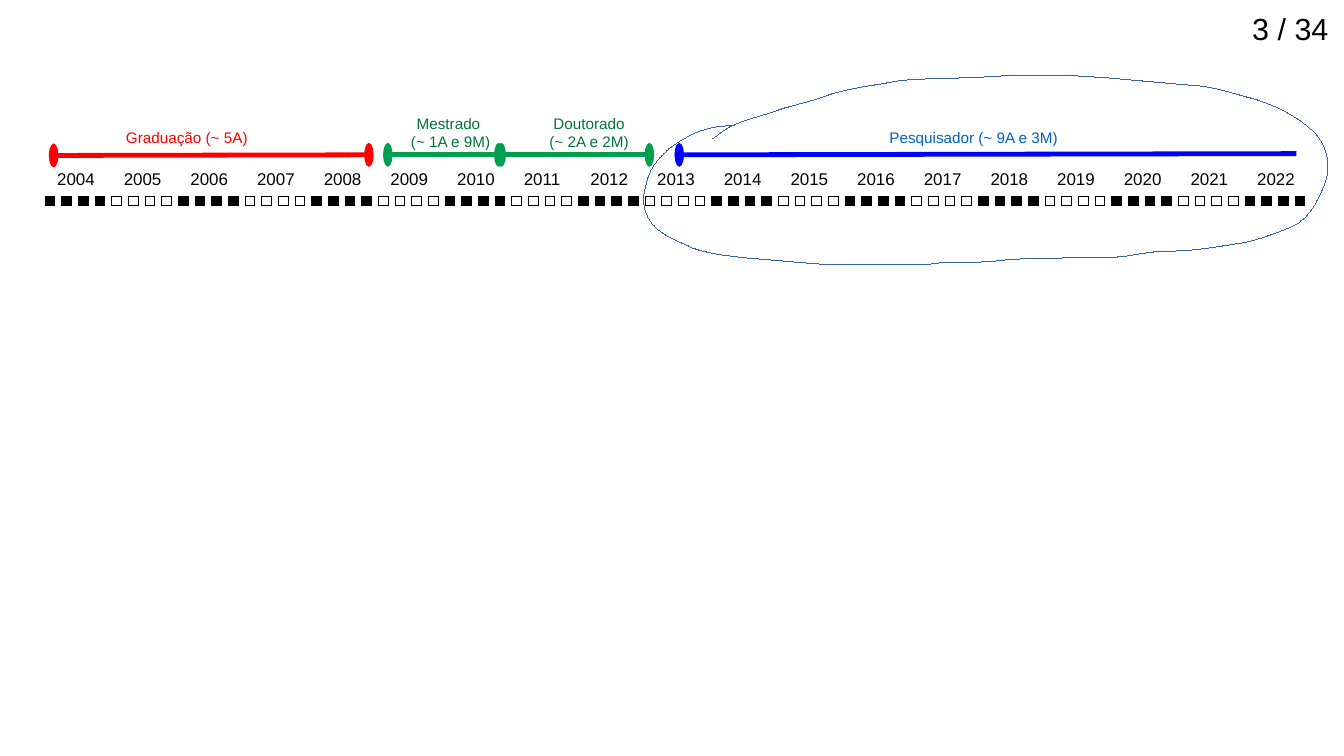
"""Draw an academic career timeline from 2004 to 2022 on a grid of tenth-inch cells."""
from dataclasses import dataclass

from lxml.etree import SubElement
from pptx import Presentation
from pptx.dml.color import RGBColor
from pptx.enum.shapes import MSO_CONNECTOR, MSO_SHAPE
from pptx.enum.text import MSO_ANCHOR, PP_ALIGN
from pptx.oxml.ns import qn
from pptx.shapes.autoshape import Shape
from pptx.slide import Slide
from pptx.util import Emu, Inches, Pt

COLUMNS, ROWS = 110.2, 62
BLACK = RGBColor(0x00, 0x00, 0x00)
WHITE = RGBColor(0xFF, 0xFF, 0xFF)
RED = RGBColor(0xFF, 0x00, 0x00)
GREEN = RGBColor(0x00, 0x9E, 0x4F)
DARK_GREEN = RGBColor(0x00, 0x76, 0x3B)
BLUE = RGBColor(0x00, 0x00, 0xFF)
LABEL_BLUE = RGBColor(0x00, 0x62, 0xC4)
LOOP_BLUE = RGBColor(0x34, 0x65, 0xA4)

FIRST_YEAR, LAST_YEAR = 2004, 2022
QUARTERS = 4
YEARS = LAST_YEAR - FIRST_YEAR + 1
TIMELINE_LEFT, LAST_QUARTER_LEFT = 3.7, 106.2
QUARTER_PITCH = (LAST_QUARTER_LEFT - TIMELINE_LEFT) / (YEARS * QUARTERS - 1)
YEAR_PITCH = QUARTER_PITCH * QUARTERS
QUARTER_ROW, YEAR_ROW = 16.1, 13.35
QUARTER_SIDE = 0.8

LOOP_START = (60.2, 10.3)
LOOP_CURVES = (
    (59, 10.3, 57.7, 10.5, 56.6, 11.1), (55.4, 11.7, 54.2, 12.5, 53.4, 13.9),
    (52.9, 15.1, 52.5, 16.4, 53, 17.5), (53.6, 19.1, 55.3, 19.6, 56.7, 20.3),
    (58.3, 20.9, 60, 21, 61.7, 21.2), (63.3, 21.3, 65, 21.5, 66.6, 21.6),
    (68.5, 21.8, 70.5, 21.7, 72.5, 21.7), (73.9, 21.7, 75.3, 21.8, 76.7, 21.6),
    (78.3, 21.4, 80.1, 21.6, 81.7, 21.4), (83.2, 21.2, 84.7, 21.2, 86.2, 21.2),
    (87.9, 21.1, 89.6, 21.1, 91.4, 21.1), (92.8, 21, 94.2, 20.6, 95.7, 20.6),
    (97.6, 20.6, 99.5, 20.3, 101.3, 20), (102.9, 19.8, 104.4, 19.2, 105.9, 18.6),
    (107.4, 17.9, 108.2, 16.3, 108.7, 14.8), (109.2, 13.4, 108.7, 11.5, 107.4, 10.5),
    (106.1, 9.4, 104.5, 8.6, 102.8, 8.1), (101.2, 7.7, 99.6, 7.1, 97.9, 7),
    (96.3, 6.9, 94.7, 6.7, 93.1, 6.6), (91.3, 6.4, 89.6, 6.3, 87.9, 6.2),
    (86.4, 6.1, 84.8, 6.3, 83.3, 6.2), (81.7, 6.2, 80.1, 6.4, 78.5, 6.4),
    (76.5, 6.5, 74.6, 6.4, 72.7, 6.8), (71, 7.1, 69.2, 7.3, 67.6, 7.9),
    (66.2, 8.4, 64.7, 8.7, 63.3, 9.2), (61.8, 9.7, 60.1, 10, 58.8, 11.1),
)
LOOP_END = (58.4, 11.4)


@dataclass(frozen=True)
class Phase:
    """A career phase drawn as a line between two grid positions."""
    start: float
    end: float
    start_row: float
    end_row: float
    color: RGBColor
    finished: bool = True


@dataclass(frozen=True)
class Label:
    """A piece of text and its box on the grid."""
    text: str
    left: float
    top: float
    width: float
    height: float
    size: float = 9
    color: RGBColor = BLACK
    align: PP_ALIGN = PP_ALIGN.LEFT
    anchor: MSO_ANCHOR = MSO_ANCHOR.TOP


PHASES = (
    Phase(4.4, 30.25, 12.75, 12.7, RED),
    Phase(31.8, 41.1, 12.7, 12.7, GREEN),
    Phase(40.9, 53.25, 12.7, 12.7, GREEN),
    Phase(55.7, 106.3, 12.7, 12.6, BLUE, finished=False),
)
PHASE_LABELS = (
    Label("Pesquisador (~ 9A e 3M)", 71.95, 10, 17, 2.7, color=LABEL_BLUE),
    Label("Doutorado\n(~ 2A e 2M)", 42.5, 8.85, 11.6, 4.4, color=DARK_GREEN, align=PP_ALIGN.CENTER),
    Label("Mestrado \n(~ 1A e 9M)", 32.1, 8.85, 9.7, 3.1, color=DARK_GREEN, align=PP_ALIGN.CENTER),
    Label("Graduação (~ 5A)", 9.35, 10, 12.3, 2.7, color=RED),
)
PAGE_NUMBER = Label("3 / 34 ", 91.7, 0, 18.9, 4.7, size=18,
                    align=PP_ALIGN.RIGHT, anchor=MSO_ANCHOR.MIDDLE)


def cells(count: float) -> Emu:
    """Convert grid cells to a length."""
    return Inches(count / 10)


def set_hairline(shape: Shape, color: RGBColor) -> None:
    """Outline a shape with the thinnest line and no shadow."""
    shape.shadow.inherit = False
    shape.line.color.rgb = color
    shape._element.spPr.find(qn("a:ln")).set("w", "0")


def add_label(slide: Slide, label: Label) -> None:
    """Write a label in its box."""
    box = slide.shapes.add_textbox(*map(cells, (label.left, label.top, label.width, label.height)))
    frame = box.text_frame
    frame.word_wrap = True
    frame.vertical_anchor = label.anchor
    frame.text = label.text
    for paragraph in frame.paragraphs:
        paragraph.alignment = label.align
        for run in paragraph.runs:
            run.font.name = "Arial"
            run.font.size = Pt(label.size)
            run.font.color.rgb = label.color


def add_year_quarters(slide: Slide, year_index: int) -> None:
    """Group the quarters of a year, black and white in alternating years."""
    year = slide.shapes.add_group_shape()
    for index in range(QUARTERS):
        left = TIMELINE_LEFT + year_index * YEAR_PITCH + index * QUARTER_PITCH
        quarter = year.shapes.add_shape(
            MSO_SHAPE.RECTANGLE, *map(cells, (left, QUARTER_ROW, QUARTER_SIDE, QUARTER_SIDE)))
        quarter.fill.solid()
        quarter.fill.fore_color.rgb = WHITE if year_index % 2 else BLACK
        set_hairline(quarter, BLACK)


def add_phase(slide: Slide, phase: Phase) -> None:
    """Draw a phase line with oval ends."""
    connector = slide.shapes.add_connector(
        MSO_CONNECTOR.STRAIGHT,
        *map(cells, (phase.start, phase.start_row, phase.end, phase.end_row)))
    connector.line.color.rgb = phase.color
    connector.line.width = Pt(2.83)
    properties = connector._element.spPr
    outline = properties.find(qn("a:ln"))
    for end in ("a:headEnd", "a:tailEnd") if phase.finished else ("a:headEnd",):
        SubElement(outline, qn(end), type="oval", w="lg", len="sm")
    SubElement(properties, qn("a:effectLst"))


def add_loop(slide: Slide) -> None:
    """Circle the research years with a chain of cubic curves and a straight tip."""
    builder = slide.shapes.build_freeform(*map(cells, LOOP_START))
    corners = [curve[-2:] for curve in LOOP_CURVES] + [LOOP_END]
    builder.add_line_segments([tuple(map(cells, corner)) for corner in corners], close=False)
    loop = builder.convert_to_shape()
    loop.fill.background()
    set_hairline(loop, LOOP_BLUE)
    segments = list(loop._element.iter(qn("a:lnTo")))
    for segment, curve in zip(segments, LOOP_CURVES):
        segment.tag = qn("a:cubicBezTo")
        segment.remove(segment[0])
        for x, y in zip(curve[::2], curve[1::2]):
            SubElement(segment, qn("a:pt"), x=str(cells(x) - loop.left), y=str(cells(y) - loop.top))


def main() -> None:
    """Build and save the slide."""
    presentation = Presentation()
    presentation.slide_width = cells(COLUMNS)
    presentation.slide_height = cells(ROWS)
    slide = presentation.slides.add_slide(presentation.slide_layouts.get_by_name("Blank"))
    for index in range(YEARS):
        add_year_quarters(slide, index)
    for index in range(YEARS):
        left = TIMELINE_LEFT + index * YEAR_PITCH
        add_label(slide, Label(str(FIRST_YEAR + index), left, YEAR_ROW, YEAR_PITCH, 2.5, size=10))
    for phase in PHASES:
        add_phase(slide, phase)
    for label in PHASE_LABELS:
        add_label(slide, label)
    add_loop(slide)
    add_label(slide, PAGE_NUMBER)
    presentation.save("out.pptx")


if __name__ == "__main__":
    main()
